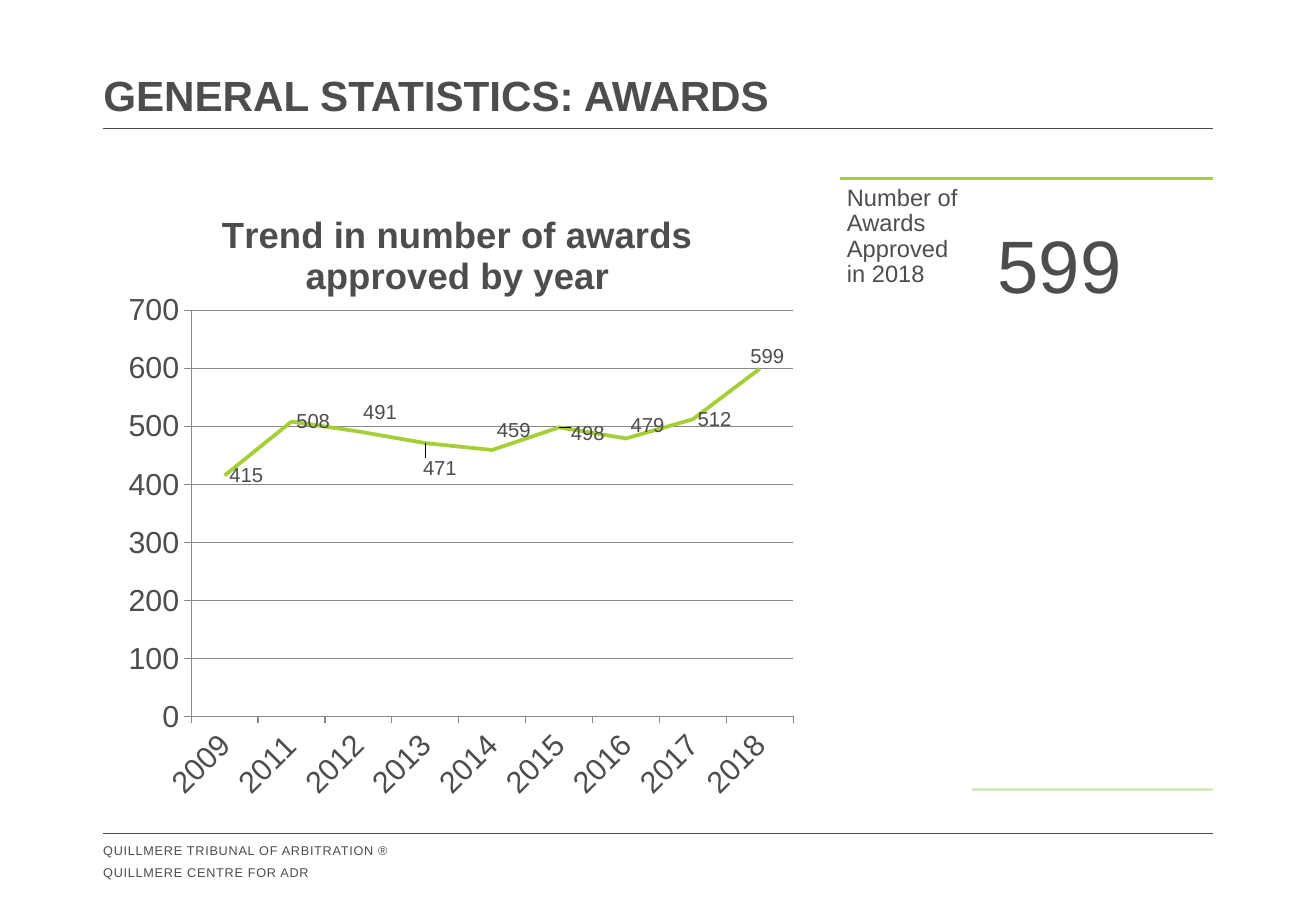
from lxml import etree
from pptx import Presentation
from pptx.chart.data import CategoryChartData
from pptx.dml.color import RGBColor
from pptx.enum.chart import XL_CHART_TYPE as CT, XL_LABEL_POSITION as LP, XL_TICK_MARK as TM
from pptx.enum.shapes import MSO_CONNECTOR as CN
from pptx.enum.text import MSO_ANCHOR as ANCHOR, PP_ALIGN as ALIGN
from pptx.oxml.ns import qn
from pptx.util import Inches, Pt

# Content
GREY, GREEN, PALE, GRID = "4D4D4F", "A6CE37", "D8E8BF", "878787"
FONT = "Arial"
TITLE = "GENERAL STATISTICS: AWARDS"
CHART_TITLE = "Trend in number of awards approved by year"
AWARDS = {"2009": 415, "2011": 508, "2012": 491, "2013": 471, "2014": 459,
          "2015": 498, "2016": 479, "2017": 512, "2018": 599}
# Label shifts, as shares of the chart's width and height
LABEL_SHIFTS = {"2012": (0, -0.03), "2013": (-0.01, 0.04), "2014": (0, -0.03),
                "2015": (0.01, 0.01), "2016": (0, -0.02), "2018": (-0.02, -0.02)}
PLOT_AREA = {"x": 0.124, "y": 0.197, "w": 0.85, "h": 0.643}
FOOTER = ["QUILLMERE TRIBUNAL OF ARBITRATION ®", "QUILLMERE CENTRE FOR ADR"]
LEFT, RIGHT = 0.85, 9.98
# start x, y, colour, width; all end at the right margin
RULES = [(LEFT, 1.06, GREY, 0.5), (LEFT, 6.86, GREY, 0.5),
         (6.91, 1.47, GREEN, 2), (8, 6.5, PALE, 2)]
# lines, box, insets (left, top, right, bottom), paragraph format, size, tracking
TEXTS = [
    (FOOTER, (LEFT, 6.9, 2.9, 0.37), (0, 0.04, 0, 0), {}, 7.5, 40),
    (["Number of Awards Approved in 2018"], (6.91, 1.47, 1.08, 5.28), (0.06,) * 4,
     {"line_spacing": 0.9}, 14, 0),
    (["599"], (8.03, 1.71, 1.95, 4.79), (0.18,) * 4, {"line_spacing": 0.9}, 44, 0),
]


def rgb(value):
    return RGBColor.from_string(value)


def set_font(font, size, bold=False):
    for name, value in {"name": FONT, "size": Pt(size), "bold": bold}.items():
        setattr(font, name, value)
    font.color.rgb = rgb(GREY)


def set_frame(tf, insets, anchor=ANCHOR.TOP):
    tf.word_wrap = True
    tf.vertical_anchor = anchor
    for side, inset in zip(("left", "top", "right", "bottom"), insets):
        setattr(tf, f"margin_{side}", Inches(inset))


def manual_layout(values, inner=False):
    layout = etree.Element(qn("c:layout"))
    manual = etree.SubElement(layout, qn("c:manualLayout"))
    if inner:
        settings = {"layoutTarget": "inner", "xMode": "edge", "yMode": "edge", **values}
    else:
        settings = values
    for tag, value in settings.items():
        etree.SubElement(manual, qn(f"c:{tag}")).set("val", str(value))
    return layout


prs = Presentation()
prs.slide_width, prs.slide_height = Inches(10.83), Inches(7.5)
s = prs.slides.add_slide(prs.slide_layouts[5])

# Title
title = s.shapes.title
title.left, title.top, title.width, title.height = map(Inches, (LEFT, 0.6, 9.14, 0.39))
set_frame(title.text_frame, (0,) * 4, ANCHOR.BOTTOM)
p = title.text_frame.paragraphs[0]
p.alignment = ALIGN.LEFT
r = p.add_run()
r.text = TITLE
set_font(r.font, 25, True)

# Rules
for x, y, color, width in RULES:
    line = s.shapes.add_connector(CN.STRAIGHT, *map(Inches, (x, y, RIGHT, y)))
    line.line.color.rgb = rgb(color)
    line.line.width = Pt(width)
    etree.SubElement(line._element.spPr, qn("a:effectLst"))

# Footer and key figure
for lines, box, insets, fmt, size, tracking in TEXTS:
    tf = s.shapes.add_textbox(*map(Inches, box)).text_frame
    set_frame(tf, insets)
    for i, text in enumerate(lines):
        p = tf.add_paragraph() if i else tf.paragraphs[0]
        for name, value in fmt.items():
            setattr(p, name, value)
        if i:
            p.space_before = Pt(4)
        r = p.add_run()
        r.text = text
        set_font(r.font, size)
        if tracking:
            r._r.get_or_add_rPr().set("spc", str(tracking))

# Chart
data = CategoryChartData()
data.categories = list(AWARDS)
data.add_series("Series 1", list(AWARDS.values()))
chart = s.shapes.add_chart(CT.LINE, *map(Inches, (LEFT, 1.53, 5.83, 5.2)), data).chart
set_font(chart.font, 18)
chart.has_legend = False
chart.has_title = True
chart.chart_title.include_in_layout = False
r = chart.chart_title.text_frame.paragraphs[0].add_run()
r.text = CHART_TITLE
set_font(r.font, 21.6, True)

# Axes
for axis in (chart.category_axis, chart.value_axis):
    axis.major_tick_mark, axis.minor_tick_mark = TM.OUTSIDE, TM.NONE
    set_font(axis.tick_labels.font, 18)
    axis.format.line.color.rgb = rgb(GRID)
    axis.format.line.width = Pt(0.75)
chart.category_axis._element.find(qn("c:txPr")).find(qn("a:bodyPr")).set("rot", "-2700000")
value_axis = chart.value_axis
for name, value in {"minimum_scale": 0, "maximum_scale": 700, "major_unit": 100,
                    "has_major_gridlines": True}.items():
    setattr(value_axis, name, value)
value_axis.major_gridlines.format.line.color.rgb = rgb(GRID)
value_axis.major_gridlines.format.line.width = Pt(0.75)

# Plot area
plot_area = chart.plots[0]._element.getparent()
for old in plot_area.findall(qn("c:layout")):
    plot_area.remove(old)
plot_area.insert(0, manual_layout(PLOT_AREA, inner=True))

# Line and its labels
chart.plots[0].vary_by_categories = False
series = chart.plots[0].series[0]
series.smooth = False
series.format.line.color.rgb = rgb(GREEN)
series.format.line.width = Pt(2.25)
labels = series.data_labels
labels.show_value = True
labels.position = LP.RIGHT
set_font(labels.font, 12)
years = list(AWARDS)
for year in LABEL_SHIFTS:
    label = series.points[years.index(year)].data_label
    set_font(label.font, 12)
    label.position = LP.RIGHT
for year, label in zip(LABEL_SHIFTS, labels._element.findall(qn("c:dLbl"))):
    label.insert(1, manual_layout(dict(zip("xy", LABEL_SHIFTS[year]))))

prs.save("out.pptx")
